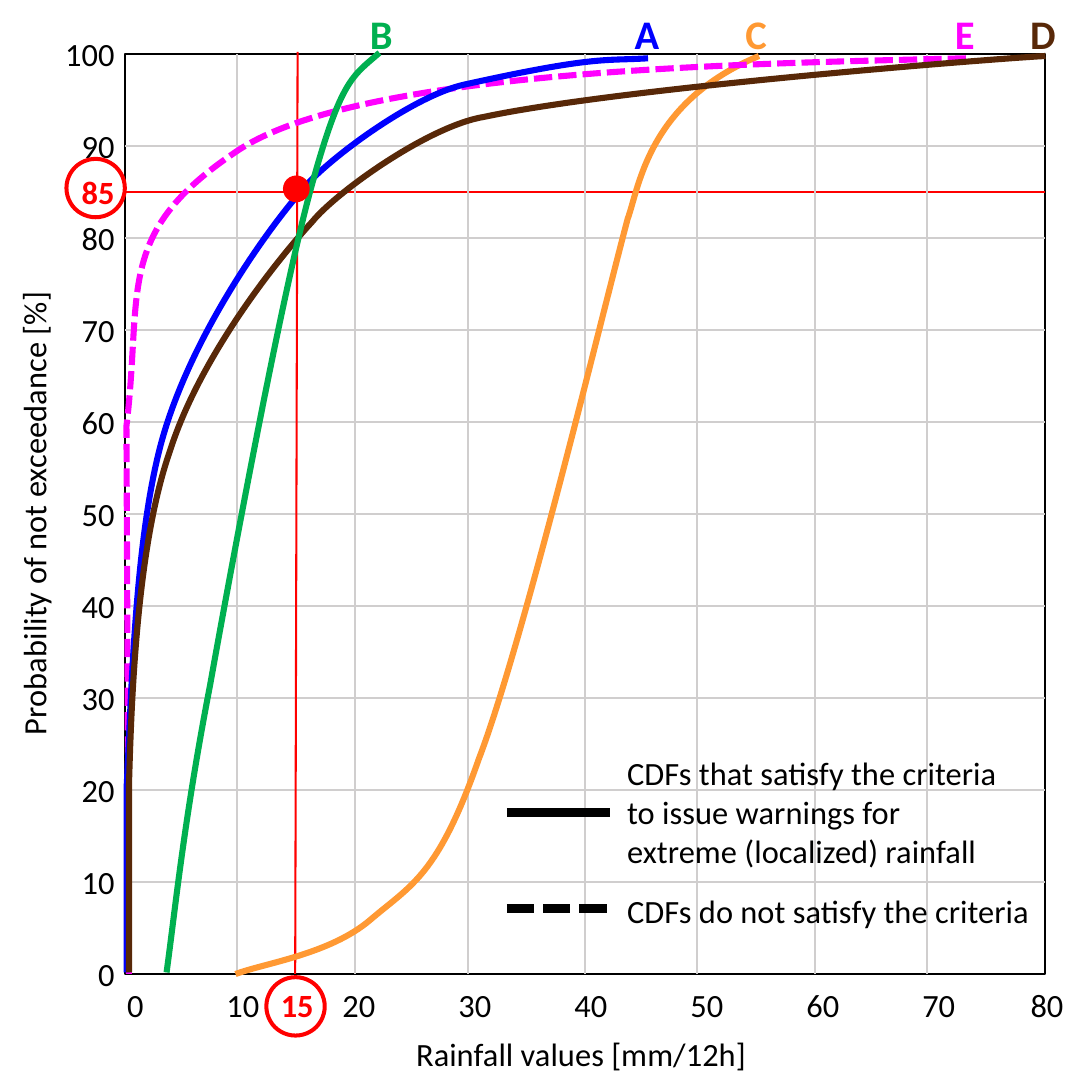
from pptx import Presentation
from pptx.dml.color import RGBColor
from pptx.enum.dml import MSO_LINE_DASH_STYLE as Dash
from pptx.enum.shapes import MSO_CONNECTOR as Connector, MSO_SHAPE as Shape
from pptx.enum.text import MSO_AUTO_SIZE as AutoSize, PP_ALIGN as Align
from pptx.oxml.ns import qn
from pptx.util import Pt
from lxml.etree import SubElement

BLACK = RGBColor(0x00, 0x00, 0x00)
GREY = RGBColor(0xD0, 0xCE, 0xCE)
RED = RGBColor(0xFF, 0x00, 0x00)
BLUE = RGBColor(0x00, 0x00, 0xFF)
GREEN = RGBColor(0x00, 0xB0, 0x50)
ORANGE = RGBColor(0xFF, 0x99, 0x33)
BROWN = RGBColor(0x58, 0x28, 0x08)
MAGENTA = RGBColor(0xFF, 0x00, 0xFF)

LEFT, TOP, SIDE = 30.9, 13.4, 226.8
RIGHT, BOTTOM = LEFT + SIDE, TOP + SIDE
ROW = SIDE / 10
LABEL_WIDTH, LABEL_HEIGHT = 26.6, 17

deck = Presentation()
deck.slide_width = deck.slide_height = Pt(269.3)
page = deck.slides.add_slide(deck.slide_layouts[6])


def add_label(text, left, top, width=LABEL_WIDTH, height=LABEL_HEIGHT,
              align=Align.RIGHT, color=BLACK, size=8, bold=False):
    box = page.shapes.add_textbox(Pt(left), Pt(top), Pt(width), Pt(height))
    frame = box.text_frame
    frame.word_wrap = True
    frame.auto_size = AutoSize.SHAPE_TO_FIT_TEXT
    frame.text = text
    for para in frame.paragraphs:
        para.alignment = align
        for span in para.runs:
            span.font.name = "Calibri"
            span.font.size = Pt(size)
            span.font.bold = bold
            span.font.color.rgb = color
    return box


def add_line(x1, y1, x2, y2, color, width=0.5):
    line = page.shapes.add_connector(Connector.STRAIGHT, Pt(x1), Pt(y1), Pt(x2), Pt(y2))
    line.line.color.rgb = color
    line.line.width = Pt(width)
    SubElement(line._element.spPr, qn("a:effectLst"))
    return line


# Plot frame
plot = page.shapes.add_shape(Shape.RECTANGLE, Pt(LEFT), Pt(TOP), Pt(SIDE), Pt(SIDE))
plot.shadow.inherit = False
plot.fill.background()
plot.line.color.rgb = BLACK
plot.line.width = Pt(0.5)

# Grid and the two threshold lines
for row in range(1, 10):
    add_line(LEFT, TOP + row * ROW, RIGHT, TOP + row * ROW, GREY)
add_line(LEFT, TOP + 1.5 * ROW, RIGHT, TOP + 1.5 * ROW, RED)
for x in (58.4, 87.5, 115.4, 144.2, 171.9, 201, 228.6):
    add_line(x, BOTTOM, x, TOP, GREY)
add_line(72.8, BOTTOM, 73.4, 12.8, RED)

# Axis labels
for row in range(11):
    add_label(str(100 - 10 * row), 8.8, 5 + row * ROW)
for column in range(9):
    add_label(str(10 * column), min(15.9 + 28.6 * column, 242.8), 239.5)
add_label("85", 8.8, 38.8, color=RED, bold=True)
add_label("15", 57.9, 239.5, color=RED, bold=True)
add_label("Rainfall values [mm/12h]", 30, 251.6, SIDE, align=Align.CENTER)
y_title = add_label("Probability of not exceedance [%]", -105, 118.1, SIDE,
                    align=Align.CENTER)
y_title.rotation = 270

# Curves: name, label left, colour, dash, start, then segments:
# one point for a straight segment, two controls and an end for a Bezier
CURVES = [
    ("C", 169.6, ORANGE, None, (58.1, 240.2), [
        ((64.8, 237.6), (81.4, 235.4), (91.4, 226.8)),
        ((101.5, 218.2), (108, 216), (118.1, 187.2)),
        ((128.9, 159.1), (148.3, 78.5), (154.8, 54)),
        ((157.7, 46.1), (159.8, 25.2), (187.2, 13.8))]),
    ("E", 220.8, MAGENTA, Dash.SQUARE_DOT, (31.8, 240.2), [
        ((31.2, 105.1),),
        ((35.3, 71.3), (28.1, 57.6), (58.3, 37.4)),
        ((87.8, 17.3), (180.7, 15.8), (238.3, 14.4))]),
    ("A", 143, BLUE, None, (31.2, 239.8), [
        ((31.2, 224.6), (31.2, 209.5), (31.2, 194.4)),
        ((32.4, 172.8), (33.1, 131.8), (40.3, 107.3)),
        ((47.5, 82.8), (64.8, 58.3), (73.4, 48.2)),
        ((79.2, 40.3), (101.5, 23.8), (114.5, 20.9)),
        ((146.9, 13.7), (149, 15.1), (159.8, 14.4))]),
    ("D", 240.8, BROWN, None, (31.8, 239.8), [
        ((31.8, 223.9), (31.8, 226.8), (31.8, 193.7)),
        ((32.4, 172.1), (33.8, 134.6), (41.8, 111.6)),
        ((49, 88.6), (67.7, 64.8), (77, 54.7)),
        ((82.8, 47.5), (105.8, 31), (119.5, 28.8)),
        ((153.4, 21.6), (246.2, 14.4), (257.8, 13.8))]),
    ("B", 77.3, GREEN, None, (41.1, 239.8), [
        ((43.2, 224.6), (45.4, 202.3), (51.8, 169.2)),
        ((57.6, 136.8), (69.8, 71.3), (77, 45.4)),
        ((84.2, 19.4), (87.1, 18.7), (93.6, 13))]),
]
for name, label_left, color, dash, start, segments in CURVES:
    add_label(name, label_left, -1.4, height=19.4, color=color, size=10, bold=True)
    outline = page.shapes.build_freeform(Pt(start[0]), Pt(start[1]))
    outline.add_line_segments([(Pt(x), Pt(y)) for *_, (x, y) in segments], close=False)
    curve = outline.convert_to_shape()
    curve.shadow.inherit = False
    curve.fill.background()
    curve.line.color.rgb = color
    curve.line.width = Pt(1.5)
    if dash:
        curve.line.dash_style = dash
    # Bend the straight segments into Bezier ones
    straights = list(curve._element.iter(qn("a:lnTo")))
    for straight, points in zip(straights, segments):
        if len(points) == 3:
            outline_path = straight.getparent()
            bend = SubElement(outline_path, qn("a:cubicBezTo"))
            for x, y in points:
                SubElement(bend, qn("a:pt"), x=str(Pt(x) - curve.left),
                           y=str(Pt(y) - curve.top))
            outline_path.replace(straight, bend)

# Rings around 85 and 15, and the point where the thresholds meet
for left, top, size, filled in ((16.4, 39.2, 14.4, False),
                                (65.7, 241, 14.4, False),
                                (70.3, 43.8, 5.6, True)):
    ring = page.shapes.add_shape(Shape.OVAL, Pt(left), Pt(top), Pt(size), Pt(size))
    ring.shadow.inherit = False
    ring.line.color.rgb = RED
    ring.line.width = Pt(1)
    if filled:
        ring.fill.solid()
        ring.fill.fore_color.rgb = RED
    else:
        ring.fill.background()

# Legend
add_label("CDFs that satisfy the criteria\nto issue warnings for\n"
          "extreme (localized) rainfall", 147.6, 182.2, 115.2, 36.3, align=Align.LEFT)
add_label("CDFs do not satisfy the criteria", 147.6, 216.2, 115.2, align=Align.LEFT)
add_line(125, 200.3, 150.4, 200.3, BLACK, 2.25)
dashed_key = add_line(125, 224, 150.4, 224, BLACK, 2.25)
dashed_key.line.dash_style = Dash.SQUARE_DOT

deck.save("out.pptx")
